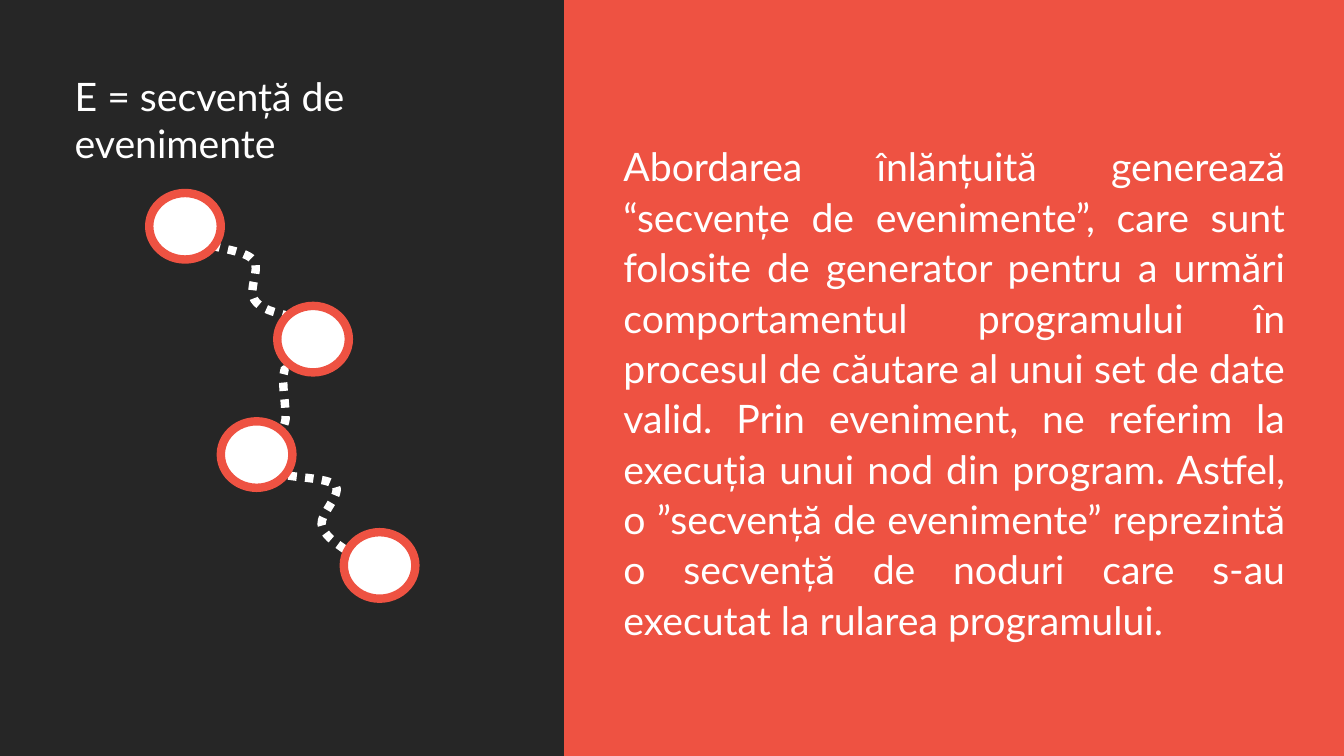
from lxml import etree
from pptx import Presentation, util as u
from pptx.dml.color import RGBColor
from pptx.enum import dml, shapes, text
from pptx.oxml import ns

HUES = {"dark": "262626", "red": "EE5242", "white": "FFFFFF"}
WIDE, HIGH = u.Inches(13.33), u.Inches(7.5)
CELL = HIGH / 75
COLS = WIDE / CELL
SPLIT = 55.95
NODE = (7.1, 6.6)
HEAD = "E = secvență de evenimente"
BODY = (
    "Abordarea înlănțuită generează “secvențe de evenimente”, care sunt folosite "
    "de generator pentru a urmări comportamentul programului în procesul de "
    "căutare al unui set de date valid. Prin eveniment, ne referim la execuția "
    "unui nod din program. Astfel, o ”secvență de evenimente” reprezintă o "
    "secvență de noduri care s-au executat la rularea programului."
)
NODES = [(34.1, 52.8), (21.9, 41.8), (27.5, 30.35), (14.8, 19.15)]
LINKS = [
    [(34.2, 54.5), (33.2, 53.8), (32.1, 53.1), (31.9, 52),
     (31.8, 51), (33.9, 49), (33.3, 48.2),
     (32.7, 47.4), (29.1, 47.4), (28.3, 47.1),
     (27.5, 46.9), (27.9, 47), (28.3, 47)],
    [(28.2, 42.1), (28.3, 41.8), (28.4, 41.5), (28.3, 40.8),
     (28.3, 40.1), (28.1, 38.7), (28.1, 38),
     (28, 37.3), (28.2, 37), (28.2, 36.8),
     (28.3, 36.6), (28.2, 36.6), (28.2, 36.7)],
    [(28.8, 31.4), (27.3, 31), (25.8, 30.7), (25.2, 29.7),
     (24.6, 28.8), (25.8, 26.7), (25.2, 25.9),
     (24.6, 25), (22.1, 24.7), (21.5, 24.5),
     (20.9, 24.2), (21.3, 24.1), (21.7, 24.1)],
]


def hue(name):
    return RGBColor.from_string(HUES[name])


def cells(*nums):
    return [round(n * CELL) for n in nums]


def paint(item, fill, line=None):
    item.shadow.inherit = False
    if fill:
        item.fill.solid()
        item.fill.fore_color.rgb = hue(fill)
    else:
        item.fill.background()
    if line:
        item.line.color.rgb = hue(line)
        item.line.width = u.Pt(6)
    else:
        item.line.fill.background()


def write(item, words, align):
    frame = item.text_frame
    frame.text = words
    frame.word_wrap = True
    frame.auto_size = text.MSO_AUTO_SIZE.NONE
    frame.vertical_anchor = text.MSO_ANCHOR.TOP
    para = frame.paragraphs[0]
    para.alignment = align
    font = para.runs[0].font
    font.name, font.size = "Lato", u.Pt(28)
    font.color.rgb = hue("white")
    return para


def bend(link):
    legs = list(link.element.iter(ns.qn("a:lnTo")))
    for k in range(0, len(legs), 3):
        arc = etree.Element(ns.qn("a:cubicBezTo"))
        legs[k].addprevious(arc)
        for leg in legs[k:k + 3]:
            arc.append(leg[0])
            leg.getparent().remove(leg)


def add_chain(slide, left, top):
    for pts in LINKS:
        spots = [cells(left + x, top + y) for x, y in pts]
        form = slide.shapes.build_freeform(*spots[0])
        form.add_line_segments(spots[1:], close=False)
        link = form.convert_to_shape()
        bend(link)
        paint(link, None, "white")
        link.line.dash_style = dml.MSO_LINE.ROUND_DOT
    for x, y in NODES:
        node = slide.shapes.add_shape(
            shapes.MSO_SHAPE.OVAL, *cells(left + x, top + y, *NODE))
        paint(node, "white", "red")


def add_side(slide, left, top):
    head = slide.shapes.title
    head.left, head.top, head.width, head.height = cells(left + 6.4, top + 6.65, 43.1, 5.7)
    write(head, HEAD, text.PP_ALIGN.LEFT)
    add_chain(slide, left, top)


def add_panel(slide, left, top, width, height):
    panel = slide.shapes.add_shape(
        shapes.MSO_SHAPE.RECTANGLE, *cells(left, top, width, height))
    paint(panel, "red")
    box = slide.shapes.add_textbox(*cells(left + 4.9, top + 13.35, 67.6, 46.4))
    para = write(box, BODY, text.PP_ALIGN.JUSTIFY)
    para.line_spacing = 1.07
    para.space_after = u.Pt(8)


def main():
    deck = Presentation()
    deck.slide_width, deck.slide_height = WIDE, HIGH
    slide = deck.slides.add_slide(deck.slide_layouts[5])
    slide.background.fill.solid()
    slide.background.fill.fore_color.rgb = hue("dark")
    add_panel(slide, SPLIT, 0, COLS - SPLIT, 75)
    add_side(slide, 0, 0)
    deck.save("out.pptx")


if __name__ == "__main__":
    main()
